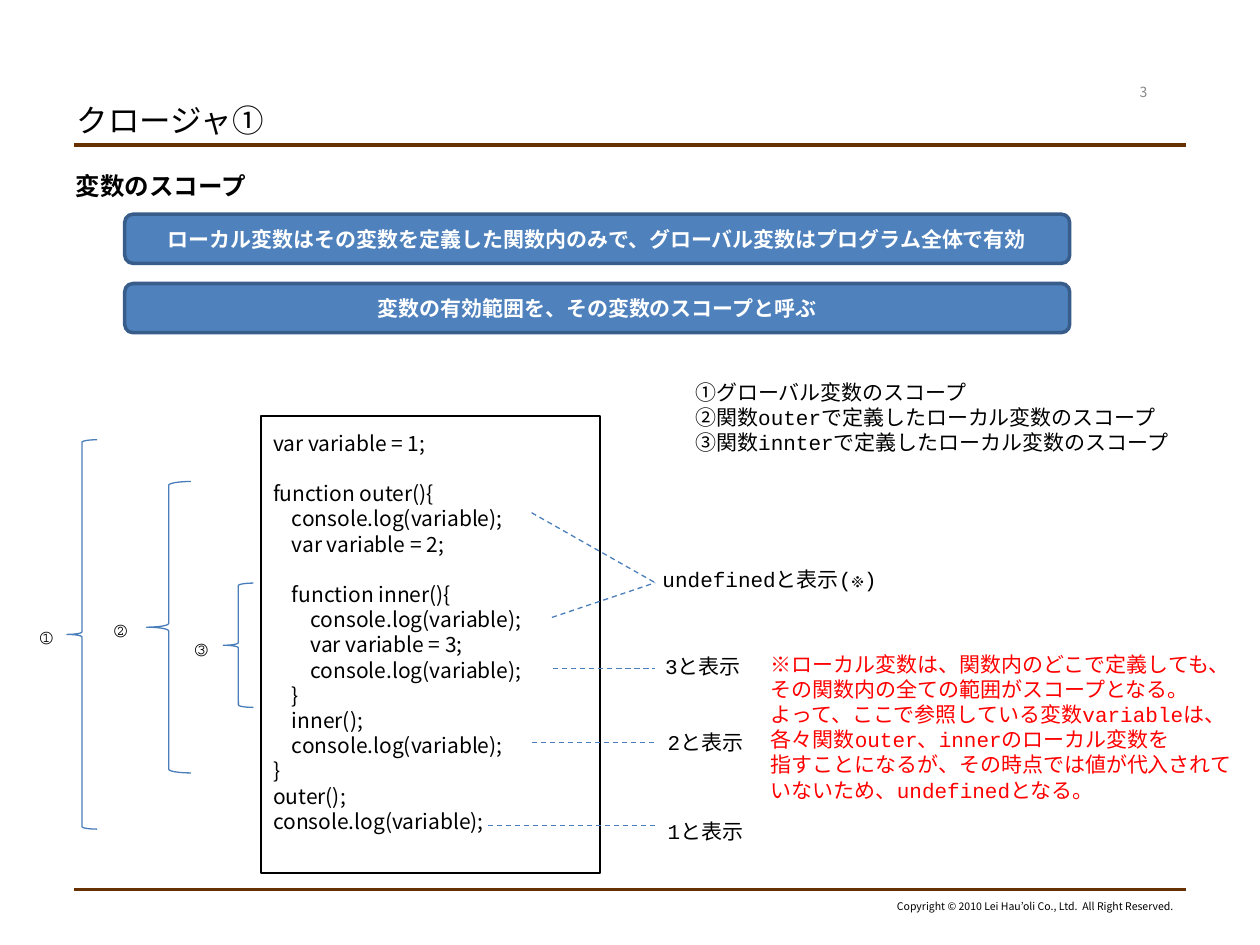
from lxml import etree
from pptx import Presentation
from pptx.dml.color import RGBColor
from pptx.enum.dml import MSO_LINE
from pptx.enum.shapes import MSO_CONNECTOR, MSO_SHAPE
from pptx.enum.text import MSO_ANCHOR, PP_ALIGN
from pptx.oxml.ns import qn
from pptx.util import Pt

LEFT, CENTER, RIGHT = PP_ALIGN.LEFT, PP_ALIGN.CENTER, PP_ALIGN.RIGHT
TOP, MIDDLE = MSO_ANCHOR.TOP, MSO_ANCHOR.MIDDLE
STRAIGHT = MSO_CONNECTOR.STRAIGHT
DASH = MSO_LINE.DASH
RECTANGLE = MSO_SHAPE.RECTANGLE
ROUNDED = MSO_SHAPE.ROUNDED_RECTANGLE
BRACE = MSO_SHAPE.LEFT_BRACE

SANS, MONO = "Noto Sans CJK JP", "Courier New"
COLORS = {
    "rule": "663300", "text": "000000", "number": "898989", "banner": "4F81BD",
    "border": "385D8A", "white": "FFFFFF", "accent": "4A7EBB", "note": "FF0000",
}

TITLE = "クロージャ①"
HEADING = "変数のスコープ"
COPYRIGHT = "Copyright © 2010 Lei Hau’oli Co., Ltd.  All Right Reserved."
BANNERS = [
    "ローカル変数はその変数を定義した関数内のみで、グローバル変数はプログラム全体で有効",
    "変数の有効範囲を、その変数のスコープと呼ぶ",
]
CODE = """var variable = 1;

function outer(){
    console.log(variable);
    var variable = 2;

    function inner(){
        console.log(variable);
        var variable = 3;
        console.log(variable);
    }
    inner();
    console.log(variable);
}
outer();
console.log(variable);""".split("\n")
LEGEND = [
    "①グローバル変数のスコープ",
    "②関数outerで定義したローカル変数のスコープ",
    "③関数innterで定義したローカル変数のスコープ",
]
NOTE = [
    "※ローカル変数は、関数内のどこで定義しても、",
    "その関数内の全ての範囲がスコープとなる。",
    "よって、ここで参照している変数variableは、",
    "各々関数outer、innerのローカル変数を",
    "指すことになるが、その時点では値が代入されて",
    "いないため、undefinedとなる。",
]
SCOPES = [
    ("①", (15.8, 351.4), (38.2, 251.3, 17.3, 222.5)),
    ("②", (58.3, 347.8), (83.7, 275.2, 25.4, 166.5)),
    ("③", (104.4, 358.6), (127.6, 333.2, 17.2, 71)),
]
OUTPUTS = [
    ("undefinedと表示(※)", 371.5, 320.4, 150),
    ("3と表示", 373, 370.1, 60.5),
    ("2と表示", 374.4, 413.3, 60.5),
    ("1と表示", 374.4, 464.4, 60.5),
]
LEADER_END = 374.4
LEADERS = [
    (303.8, 293, 333), (315.4, 352.8, 333), (316.1, 382.2, 382.2),
    (303.8, 424.2, 424.2), (278.6, 471.6, 471.6),
]


def color(name):
    return RGBColor.from_string(COLORS[name])


def write(shape, lines, size, font=SANS, ink="text", bold=False,
          align=LEFT, anchor=TOP, wrap=True, asian=SANS):
    frame = shape.text_frame
    frame.word_wrap = wrap
    frame.vertical_anchor = anchor
    for index, line in enumerate(lines):
        paragraph = frame.add_paragraph() if index else frame.paragraphs[0]
        paragraph.alignment = align
        paragraph.space_before = Pt(0)
        paragraph.font.size = Pt(size)
        if not line:
            continue
        run = paragraph.add_run()
        run.text = line
        run.font.size = Pt(size)
        run.font.bold = bold
        run.font.name = font
        run.font.color.rgb = color(ink)
        etree.SubElement(run.font._element, qn("a:ea"), typeface=asian)


def place(shape, left, top, width, height):
    shape.left, shape.top = Pt(left), Pt(top)
    shape.width, shape.height = Pt(width), Pt(height)


def add_text(slide, box, lines, size, **style):
    write(slide.shapes.add_textbox(*map(Pt, box)), lines, size, **style)


def add_shape(slide, kind, box, fill, line, width):
    shape = slide.shapes.add_shape(kind, *map(Pt, box))
    shape.shadow.inherit = False
    if fill:
        shape.fill.solid()
        shape.fill.fore_color.rgb = color(fill)
    else:
        shape.fill.background()
    shape.line.color.rgb = color(line)
    shape.line.width = Pt(width)
    return shape


def add_line(slide, ends, line, width, dash=None):
    connector = slide.shapes.add_connector(STRAIGHT, *map(Pt, ends))
    connector.line.color.rgb = color(line)
    connector.line.width = Pt(width)
    if dash:
        connector.line.dash_style = dash
    etree.SubElement(connector._element.spPr, qn("a:effectLst"))


def main():
    presentation = Presentation()
    presentation.slide_width, presentation.slide_height = Pt(720), Pt(540)
    slide = presentation.slides.add_slide(presentation.slide_layouts[1])

    for y in (82.8, 508.3):
        add_line(slide, (42.5, y, 677.5, y), "rule", 2.25)
    add_text(slide, (503.3, 510.5, 174.2, 14.4), [COPYRIGHT], 6, align=RIGHT, wrap=False)

    title, body = slide.placeholders
    place(title, 36.7, 54.7, 409, 28.1)
    write(title, [TITLE], 18, anchor=MIDDLE)
    place(body, 36, 94.3, 648, 402.5)
    properties = body.text_frame.paragraphs[0]._p.get_or_add_pPr()
    properties.set("marL", "0")
    properties.set("indent", "0")
    etree.SubElement(properties, qn("a:buNone"))
    write(body, [HEADING], 14, bold=True)
    add_text(slide, (632.2, 43.9, 42.5, 17.3), ["3"], 8, ink="number",
             align=CENTER, anchor=MIDDLE)

    for index, text in enumerate(BANNERS):
        box = (71.3, 122.4 + 39.6 * index, 540, 28.1)
        banner = add_shape(slide, ROUNDED, box, "banner", "border", 2)
        write(banner, [text], 12, ink="white", bold=True, align=CENTER, anchor=MIDDLE)

    code = add_shape(slide, RECTANGLE, (149, 237.6, 193.7, 261.4), None, "text", 1)
    code.text_frame.margin_bottom = Pt(18)
    write(code, CODE, 12, anchor=MIDDLE)

    for label, (left, top), brace in SCOPES:
        add_shape(slide, BRACE, brace, None, "accent", 0.75)
        add_text(slide, (left, top, 26, 21.6), [label], 12, font=MONO, wrap=False, asian=MONO)

    add_text(slide, (390.2, 213.1, 291, 50.4), LEGEND, 12, font=MONO, wrap=False)
    for left, start, end in LEADERS:
        add_line(slide, (left, start, LEADER_END, end), "accent", 0.75, DASH)
    for text, left, top, width in OUTPUTS:
        add_text(slide, (left, top, width, 21.6), [text], 12, font=MONO, wrap=False)
    add_text(slide, (433.4, 368.6, 281.5, 93.6), NOTE, 12, font=MONO, ink="note", wrap=False)

    presentation.save("out.pptx")


if __name__ == "__main__":
    main()
